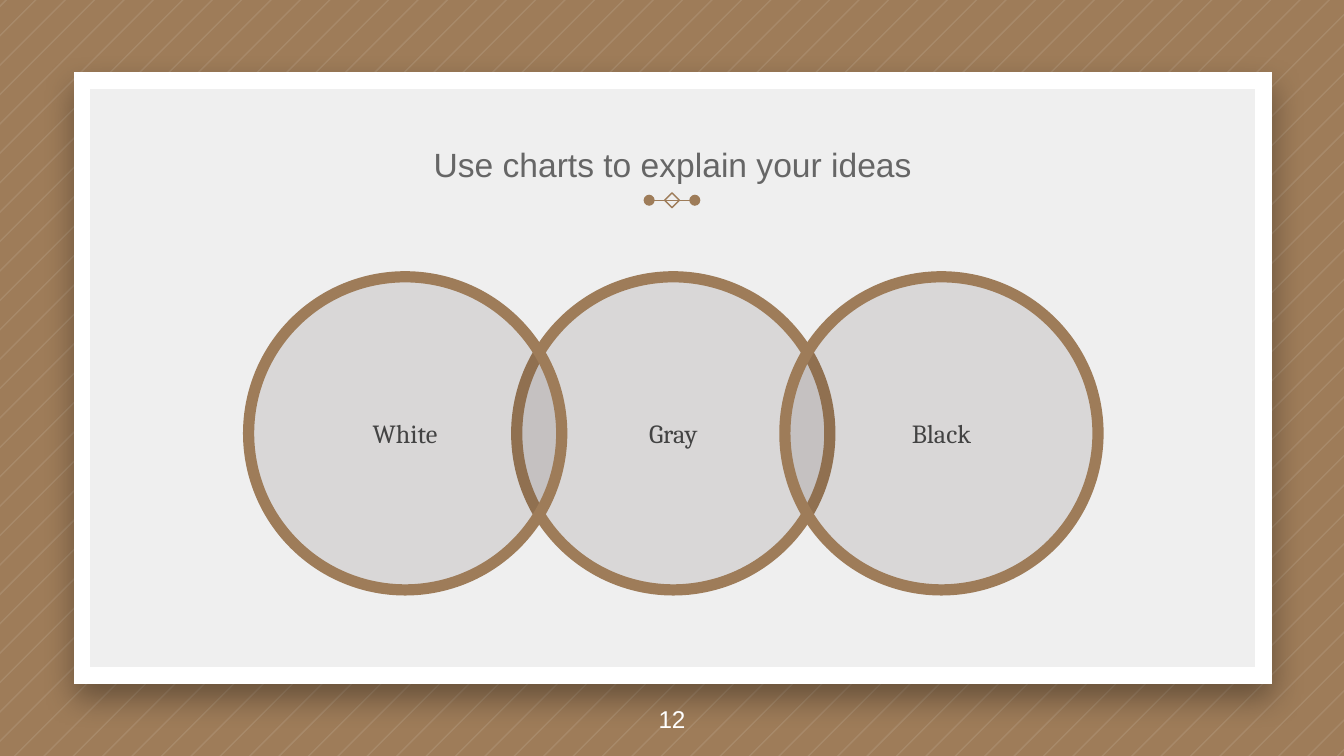
from lxml.etree import SubElement
from pptx import Presentation
from pptx.dml.color import RGBColor
from pptx.enum.shapes import MSO_CONNECTOR, MSO_SHAPE
from pptx.enum.text import MSO_ANCHOR, MSO_AUTO_SIZE, PP_ALIGN
from pptx.oxml.ns import qn
from pptx.util import Inches, Pt

BROWN = RGBColor(0x9E, 0x7C, 0x59)
WHITE = RGBColor(0xFF, 0xFF, 0xFF)
PANEL_GRAY = RGBColor(0xEF, 0xEF, 0xEF)
TITLE_GRAY = RGBColor(0x66, 0x66, 0x66)
LABEL_GRAY = RGBColor(0x43, 0x43, 0x43)
CIRCLE_DARK = RGBColor(0x1A, 0x08, 0x08)

TITLE = "Use charts to explain your ideas"
PAGE_NUMBER = "12"
# Label and column, from back to front
CIRCLES = [("Gray", 1), ("White", 0), ("Black", 2)]

WIDTH = 10
HEIGHT = WIDTH * 9 / 16
STRIPE_COUNT, STRIPE_START, STRIPE_WIDTH = 72, 0.04, 0.015
STRIPE_PITCH = 7 / 32
CIRCLE_LEFT, CIRCLE_TOP, CIRCLE_SIZE, CIRCLE_PITCH = 1.85, 2.06, 2.33, 1.995


def inches(*values):
    return [Inches(value) for value in values]


def set_alpha(shape, percent):
    color = shape.fill._xPr.find(qn("a:solidFill"))[0]
    SubElement(color, qn("a:alpha"), val=str(percent * 1000))


def style_shape(shape, fill=None, alpha=None, line=None, line_width=0):
    shape.shadow.inherit = False
    if fill is None:
        shape.fill.background()
    else:
        shape.fill.solid()
        shape.fill.fore_color.rgb = fill
    if alpha is not None:
        set_alpha(shape, alpha)
    if line is None:
        shape.line.fill.background()
    else:
        shape.line.color.rgb = line
        shape.line.width = Pt(line_width)


def write_text(box, text, size, font, color, anchor=MSO_ANCHOR.MIDDLE):
    frame = box.text_frame
    frame.word_wrap = True
    frame.auto_size = MSO_AUTO_SIZE.NONE
    frame.vertical_anchor = anchor
    frame.margin_left = frame.margin_right = Inches(0.1)
    frame.margin_top = frame.margin_bottom = Inches(0.1)
    para = frame.paragraphs[0]
    para.alignment = PP_ALIGN.CENTER
    span = para.add_run()
    span.text = text
    span.font.size = Pt(size)
    span.font.name = font
    span.font.color.rgb = color


def add_stripes(page):
    """Draw all diagonals, each clipped to the page, as one outline."""
    def diagonal_ends(total):
        upper = inches(min(total, WIDTH), max(0, total - WIDTH))
        lower = inches(max(0, total - HEIGHT), min(total, HEIGHT))
        return upper, lower

    builder = page.shapes.build_freeform(*diagonal_ends(STRIPE_START)[0])
    for index in range(STRIPE_COUNT):
        total = STRIPE_START + index * STRIPE_PITCH
        upper, lower = diagonal_ends(total)
        next_upper, next_lower = diagonal_ends(total + STRIPE_WIDTH)
        if index:
            builder.move_to(*upper)
        builder.add_line_segments([lower, next_lower, next_upper], close=True)
    style_shape(builder.convert_to_shape(), fill=WHITE, alpha=10)


def add_panel(page):
    panel = page.shapes.add_shape(MSO_SHAPE.RECTANGLE, *inches(0.61, 0.6, 8.79, 4.43))
    style_shape(panel, fill=PANEL_GRAY, line=WHITE, line_width=9)
    properties = panel.element.spPr
    SubElement(properties.find(qn("a:ln")), qn("a:miter"), lim="800000")
    shadow = SubElement(properties.find(qn("a:effectLst")), qn("a:outerShdw"),
                        blurRad=str(Pt(16.9)), dist=str(Pt(7.5)), dir="5400000",
                        algn="bl", rotWithShape="0")
    color = SubElement(shadow, qn("a:srgbClr"), val="000000")
    SubElement(color, qn("a:alpha"), val="35000")


def add_ornament(page):
    line = page.shapes.add_connector(MSO_CONNECTOR.STRAIGHT, *inches(4.83, 1.49, 5.17, 1.49))
    line.line.color.rgb = BROWN
    line.line.width = Pt(0.75)
    for end in ("a:headEnd", "a:tailEnd"):
        SubElement(line.line._get_or_add_ln(), qn(end), type="oval")
    SubElement(line.element.spPr, qn("a:effectLst"))
    diamond = page.shapes.add_shape(MSO_SHAPE.DIAMOND, *inches(4.945, 1.435, 0.11, 0.11))
    style_shape(diamond, line=BROWN, line_width=0.75)


def add_circle(page, label, column):
    left = CIRCLE_LEFT + column * CIRCLE_PITCH
    circle = page.shapes.add_shape(
        MSO_SHAPE.OVAL, *inches(left, CIRCLE_TOP, CIRCLE_SIZE, CIRCLE_SIZE))
    style_shape(circle, fill=CIRCLE_DARK, alpha=10, line=BROWN, line_width=6)
    write_text(circle, label, size=14, font="Cambria", color=LABEL_GRAY)


def main():
    deck = Presentation()
    deck.slide_width, deck.slide_height = inches(WIDTH, HEIGHT)
    page = deck.slides.add_slide(deck.slide_layouts[5])
    page.background.fill.solid()
    page.background.fill.fore_color.rgb = BROWN

    add_stripes(page)
    add_panel(page)
    add_ornament(page)

    title = page.shapes.title
    title.left, title.top, title.width, title.height = inches(0.99, 0.81, 8.03, 0.66)
    write_text(title, TITLE, size=18, font="Arial", color=TITLE_GRAY,
               anchor=MSO_ANCHOR.BOTTOM)
    page.shapes.element.append(title.element)  # bring in front of the panel

    for label, column in CIRCLES:
        add_circle(page, label, column)

    number_box = page.shapes.add_textbox(*inches(0, 5.08, WIDTH, 0.54))
    write_text(number_box, PAGE_NUMBER, size=13, font="Arial", color=WHITE)
    deck.save("out.pptx")


if __name__ == "__main__":
    main()
